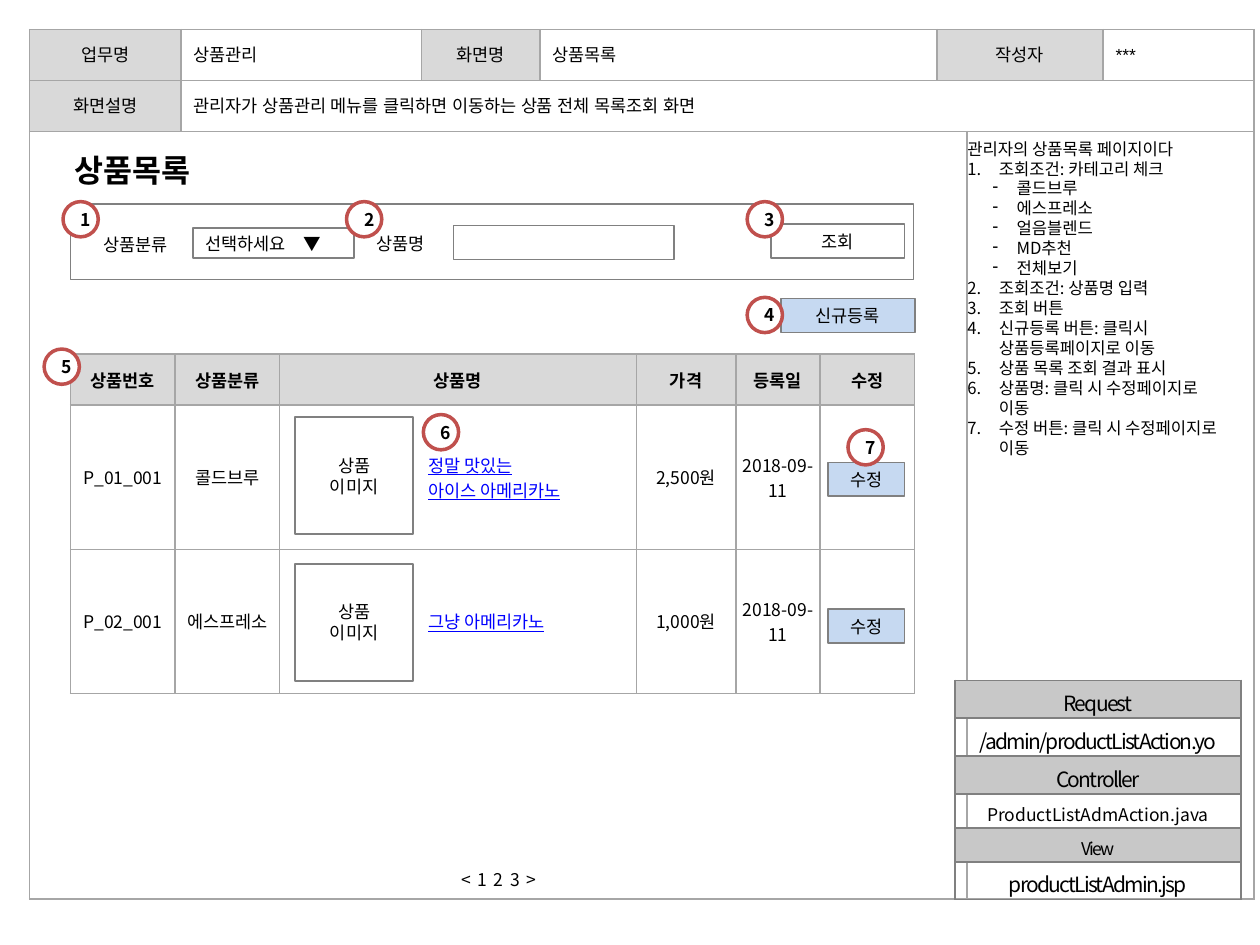
from lxml.etree import SubElement
from pptx import Presentation
from pptx.dml.color import RGBColor
from pptx.enum.shapes import MSO_SHAPE
from pptx.enum.text import MSO_ANCHOR, PP_ALIGN
from pptx.oxml.ns import qn
from pptx.util import Inches, Pt

C = {"ink": "000000", "white": "FFFFFF", "head": "D9D9D9", "band": "C8C8C8",
     "grid": "A6A6A6", "line": "808080", "button": "C6D9F1",
     "marker": "C0504D", "link": "0000FF"}
KR = "Noto Sans CJK KR"
LEFT, CENTER = PP_ALIGN.LEFT, PP_ALIGN.CENTER

prs = Presentation()
prs.slide_width, prs.slide_height = Inches(10), Inches(7.5)
U = prs.slide_width / 100  # grid unit: one percent of the slide's width
s = prs.slides.add_slide(prs.slide_layouts[5])


def write(tf, text, size=10, font=KR, align=CENTER, color="ink", bold=False, track=0):
    """Fill a text frame, one paragraph a line; track is letter spacing in points."""
    for i, line in enumerate(text.split("\n")):
        p = tf.add_paragraph() if i else tf.paragraphs[0]
        p.alignment = align
        r = p.add_run()
        r.text = line
        r.font.size, r.font.name, r.font.bold = Pt(size), font, bold
        r.font.color.rgb = RGBColor.from_string(C[color])
        r.font.underline = color == "link"
        rPr = r.font._element
        SubElement(rPr, qn("a:ea")).set("typeface", font)
        if track:
            rPr.set("spc", str(int(track * 100)))


def add_box(x, y, w, h, text="", fill="white", line="line", weight=1,
            kind=MSO_SHAPE.RECTANGLE, **style):
    sp = s.shapes.add_shape(kind, *(int(v * U) for v in (x, y, w, h)))
    sp.shadow.inherit = False
    sp.fill.solid()
    sp.fill.fore_color.rgb = RGBColor.from_string(C[fill])
    if line:
        sp.line.color.rgb = RGBColor.from_string(C[line])
        sp.line.width = Pt(weight)
    else:
        sp.line.fill.background()
    sp.text_frame.vertical_anchor = MSO_ANCHOR.MIDDLE
    if text:
        write(sp.text_frame, text, **style)
    return sp


# Tables: page frame, request flow, product list; margins are side, top, bottom
frame = dict(
    at=(2.35, 2.35), cols=[12, 19.1, 9.4, 31.5, 1.3, 10.8, 12], rows=[4.05, 4.05, 60.9],
    border="grid", margins=(1, 0.5, 0.5),
    merges=[(0, 4, 0, 5), (1, 1, 1, 6), (2, 0, 2, 4), (2, 5, 2, 6)],
    fills={**dict.fromkeys([(0, 0), (0, 2), (0, 4), (1, 0)], "head"),
           (2, 0): "white", (2, 5): "white"},
    text=[["업무명", "상품관리", "화면명", "상품목록", "작성자", "", "***"],
          ["화면설명", "관리자가 상품관리 메뉴를 클릭하면 이동하는 상품 전체 목록조회 화면"]],
    style=lambda i, j: dict(font="Arial", align=CENTER if (i, j) in frame["fills"] else LEFT))

flow = dict(
    at=(75.8, 54), cols=[22.7], rows=[3, 3, 3, 2.7, 2.7, 3],
    border="line", margins=(1, 0.5, 0), merges=[],
    fills={(i, 0): "band" for i in (0, 2, 4)},
    text=[["Request"], ["/admin/productListAction.yo"], ["Controller"],
          ["ProductListAdmAction.java"], ["View"], ["productListAdmin.jsp"]],
    style=lambda i, j: dict(size=10 if i in (3, 4) else 12, track=0 if i == 3 else -1))

products = dict(
    at=(5.6, 28.1), cols=[8.3, 8.3, 28.3, 7.9, 6.7, 7.5], rows=[4.05, 11.45, 11.45],
    border="grid", margins=(0, 0.5, 0.5), merges=[],
    fills={(i, j): "white" if i else "head" for i in range(3) for j in range(6)},
    text=[["상품번호", "상품분류", "상품명", "가격", "등록일", "수정"],
          ["P_01_001", "콜드브루", "정말 맛있는\n아이스 아메리카노", "2,500원", "2018-09-11"],
          ["P_02_001", "에스프레소", "그냥 아메리카노", "1,000원", "2018-09-11"]],
    style=lambda i, j: dict(align=LEFT, color="link") if i and j == 2 else dict(bold=i == 0))

for t in (frame, flow, products):
    size = (sum(t["cols"]), sum(t["rows"]))
    table = s.shapes.add_table(len(t["rows"]), len(t["cols"]),
                               *(int(v * U) for v in (*t["at"], *size))).table
    table.first_row = table.horz_banding = False
    for col, w in zip(table.columns, t["cols"]):
        col.width = int(w * U)
    for row, h in zip(table.rows, t["rows"]):
        row.height = int(h * U)
    for top, left, bottom, right in t["merges"]:
        table.cell(top, left).merge(table.cell(bottom, right))
    side, above, below = (int(m * U) for m in t["margins"])
    for i in range(len(t["rows"])):
        for j in range(len(t["cols"])):
            cell = table.cell(i, j)
            cell.vertical_anchor = MSO_ANCHOR.MIDDLE
            cell.margin_left = cell.margin_right = side
            cell.margin_top, cell.margin_bottom = above, below
            tcPr = cell._tc.get_or_add_tcPr()
            for edge in ("a:lnL", "a:lnR", "a:lnT", "a:lnB"):
                ln = SubElement(tcPr, qn(edge), w=str(Pt(1)))
                SubElement(SubElement(ln, qn("a:solidFill")), qn("a:srgbClr"),
                           val=C[t["border"]])
            if (i, j) in t["fills"]:
                cell.fill.solid()
                cell.fill.fore_color.rgb = RGBColor.from_string(C[t["fills"][i, j]])
            else:
                cell.fill.background()
    for i, row in enumerate(t["text"]):
        for j, text in enumerate(row):
            if text:
                write(table.cell(i, j).text_frame, text, **t["style"](i, j))

# Product links stand to the right of the image boxes
for i in (1, 2):
    for p in table.cell(i, 2).text_frame.paragraphs:
        p._p.get_or_add_pPr().set("marL", str(int(11.8 * U)))

# Title, above the page frame
title = s.shapes.title
s.shapes._spTree.append(title._element)
title.left, title.top, title.width, title.height = (int(v * U) for v in (4.9, 11.5, 12.1, 4))
title.text_frame.word_wrap = False
title.text_frame.vertical_anchor = MSO_ANCHOR.TOP
write(title.text_frame, "상품목록", size=18, align=LEFT, bold=True)

# Page numbers
tb = s.shapes.add_textbox(*(int(v * U) for v in (33.8, 68.5, 11.6, 2.7)))
tb.text_frame.word_wrap = True
write(tb.text_frame, "< 1 2 3 >", track=0.75)

# Screen notes: "#" numbers a line, "-" lists it below
notes = [("", "관리자의 상품목록 페이지이다"), ("#", "조회조건: 카테고리 체크"),
         ("-", "콜드브루"), ("-", "에스프레소"), ("-", "얼음블렌드"), ("-", "MD추천"),
         ("-", "전체보기"), ("#", "조회조건: 상품명 입력"), ("#", "조회 버튼"),
         ("#", "신규등록 버튼: 클릭시 상품등록페이지로 이동"),
         ("#", "상품 목록 조회 결과 표시"), ("#", "상품명: 클릭 시 수정페이지로 이동"),
         ("#", "수정 버튼: 클릭 시 수정페이지로 이동")]
indents = {"#": (2.5, -2.5), "-": (3.9, -1.9)}
tb = s.shapes.add_textbox(*(int(v * U) for v in (75.8, 10.5, 22.7, 26.6)))
tf = tb.text_frame
tf.word_wrap = True
write(tf, "\n".join(text for _, text in notes), size=9.5, align=LEFT)
for k, ((mark, _), p) in enumerate(zip(notes, tf.paragraphs)):
    if not mark:
        continue
    pPr = p._p.get_or_add_pPr()
    for name, v in zip(("marL", "indent"), indents[mark]):
        pPr.set(name, str(int(v * U)))
    if mark == "-":
        SubElement(pPr, qn("a:buChar"), char="-")
    else:
        number = SubElement(pPr, qn("a:buAutoNum"), type="arabicPeriod")
        if k > 1:
            number.set("startAt", "2")

# Search panel
add_box(5.6, 16.2, 66.9, 6)
add_box(61.2, 17.8, 10.6, 2.7, "조회")
add_box(28.9, 18, 16.2, 2.6, "상품명", line=None, align=LEFT)
add_box(36, 17.9, 17.5, 2.7)
add_box(7.2, 18.1, 16.2, 2.6, "상품분류", line=None, align=LEFT)
dropdown = add_box(15.3, 18.1, 12.8, 2.4, "선택하세요\t▼", align=LEFT)
pPr = dropdown.text_frame.paragraphs[0]._p.get_or_add_pPr()
SubElement(SubElement(pPr, qn("a:tabLst")), qn("a:tab"), pos=str(int(7.8 * U)), algn="l")

# Product buttons and image boxes
add_box(62, 23.7, 10.6, 2.7, "신규등록", fill="button")
for y in (33.1, 44.75):
    add_box(23.4, y, 9.4, 9.3, "상품\n이미지")
    add_box(65.7, y + 3.6, 6.1, 2.7, "수정", fill="button")

# Numbered markers
markers = [(5, 16), (27.5, 16), (59.3, 16), (59.3, 23.6), (3.5, 27.7), (33.6, 32.9), (67.3, 34.1)]
for n, (x, y) in enumerate(markers, 1):
    add_box(x, y, 2.8, 2.8, str(n), line="marker", weight=2, kind=MSO_SHAPE.OVAL, bold=True)

prs.save("out.pptx")
